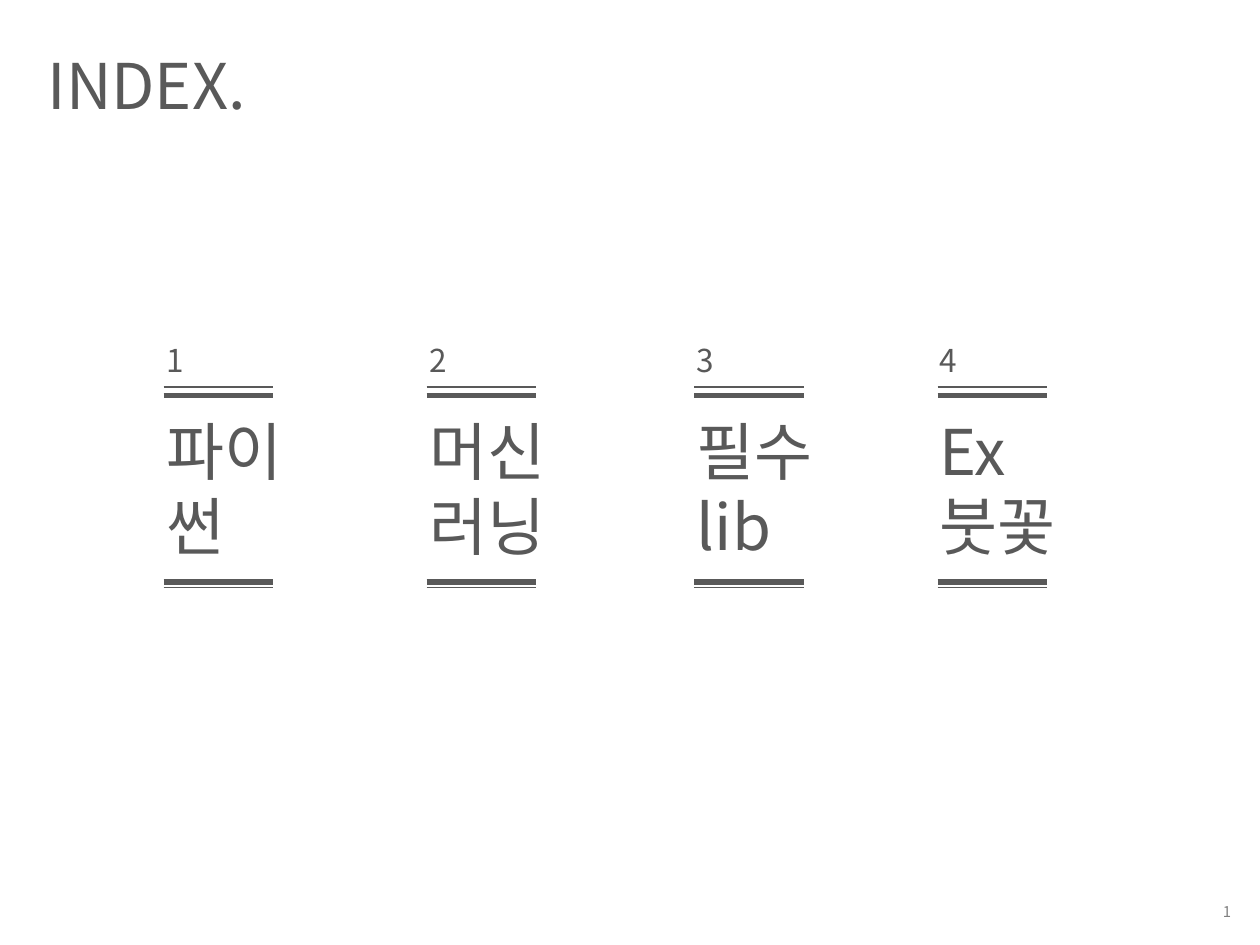
"""Build the index slide with four numbered topics between double rules."""
from dataclasses import dataclass

from lxml.etree import SubElement
from pptx import Presentation
from pptx.dml.color import RGBColor
from pptx.enum.shapes import MSO_CONNECTOR as Connector
from pptx.enum.text import MSO_ANCHOR as Anchor, PP_ALIGN as Align
from pptx.oxml import parse_xml
from pptx.oxml.ns import nsdecls, qn
from pptx.util import Cm, Pt

TITLE = "INDEX."
TOPICS = [
    (3.3, ["파이썬"]),
    (8.6, ["머신러닝"]),
    (14.0, ["필수lib"]),
    (18.9, ["Ex", "붓꽃"]),
]
RULES = [(7.8, 0.75), (7.98, 3), (11.73, 3), (11.84, 0.75)]
RULE_W, TEXT_W, TEXT_INDENT = 2.2, 3.2, 0.2


@dataclass(frozen=True)
class Theme:
    font: str = "Noto Sans CJK KR"
    ink: RGBColor = RGBColor(0x59, 0x59, 0x59)
    muted: RGBColor = RGBColor(0x80, 0x80, 0x80)
    large: float = 36
    medium: float = 18
    small: float = 8.5
    leading: float = 1.19


THEME = Theme()


def place(sp, x, y, w, h):
    sp.left, sp.top, sp.width, sp.height = Cm(x), Cm(y), Cm(w), Cm(h)


def style(p, size, color, align=Align.LEFT):
    p.alignment = align
    p.line_spacing = Pt(size * THEME.leading)
    p.space_before = Pt(0)
    font = p.font
    font.name, font.size, font.color.rgb = THEME.font, Pt(size), color
    SubElement(font._element, qn("a:ea")).set("typeface", THEME.font)


def write(sp, lines, size):
    tf = sp.text_frame
    tf.word_wrap = True
    tf.vertical_anchor = Anchor.TOP
    tf.margin_left = tf.margin_right = Cm(0.25)
    tf.margin_top = Cm(0.13 + size * 0.002)
    tf.text = "\n".join(lines)
    for p in tf.paragraphs:
        style(p, size, THEME.ink)


def add_text(s, x, y, w, h, lines, size):
    sp = s.shapes.add_textbox(Cm(x), Cm(y), Cm(w), Cm(h))
    write(sp, lines, size)


def add_rule(s, x, y, weight):
    line = s.shapes.add_connector(Connector.STRAIGHT, Cm(x), Cm(y), Cm(x + RULE_W), Cm(y))
    line.line.color.rgb = THEME.ink
    line.line.width = Pt(weight)
    SubElement(line._element.spPr, qn("a:effectLst"))


def add_page_number(s):
    sp = s.shapes.add_textbox(Cm(19.71), Cm(18.03), Cm(5.36), Cm(0.69))
    tf = sp.text_frame
    tf.word_wrap = True
    tf.vertical_anchor = Anchor.MIDDLE
    p = tf.paragraphs[0]
    style(p, THEME.small, THEME.muted, Align.RIGHT)
    field = parse_xml(
        f'<a:fld {nsdecls("a")} id="{{B6F15528-21DE-4FAA-801E-634DDDAF4B2B}}" type="slidenum">'
        f'<a:rPr lang="en-US" sz="{int(THEME.small * 100)}"><a:solidFill>'
        f'<a:srgbClr val="{THEME.muted}"/></a:solidFill><a:latin typeface="{THEME.font}"/>'
        '</a:rPr><a:t>1</a:t></a:fld>')
    p._p.append(field)


prs = Presentation()
prs.slide_width, prs.slide_height = Cm(25.4), Cm(19.05)
s = prs.slides.add_slide(prs.slide_layouts[5])

title = s.shapes.title
place(title, 0.71, 0.74, 8.61, 1.8)
write(title, [TITLE], THEME.large)

for number, (x, lines) in enumerate(TOPICS, 1):
    add_text(s, x - TEXT_INDENT, 6.71, TEXT_W, 1.02, [str(number)], THEME.medium)
    add_text(s, x - TEXT_INDENT, 8.13, TEXT_W, 3.33, lines, THEME.large)
    for y, weight in RULES:
        add_rule(s, x, y, weight)

add_page_number(s)
prs.save("out.pptx")
